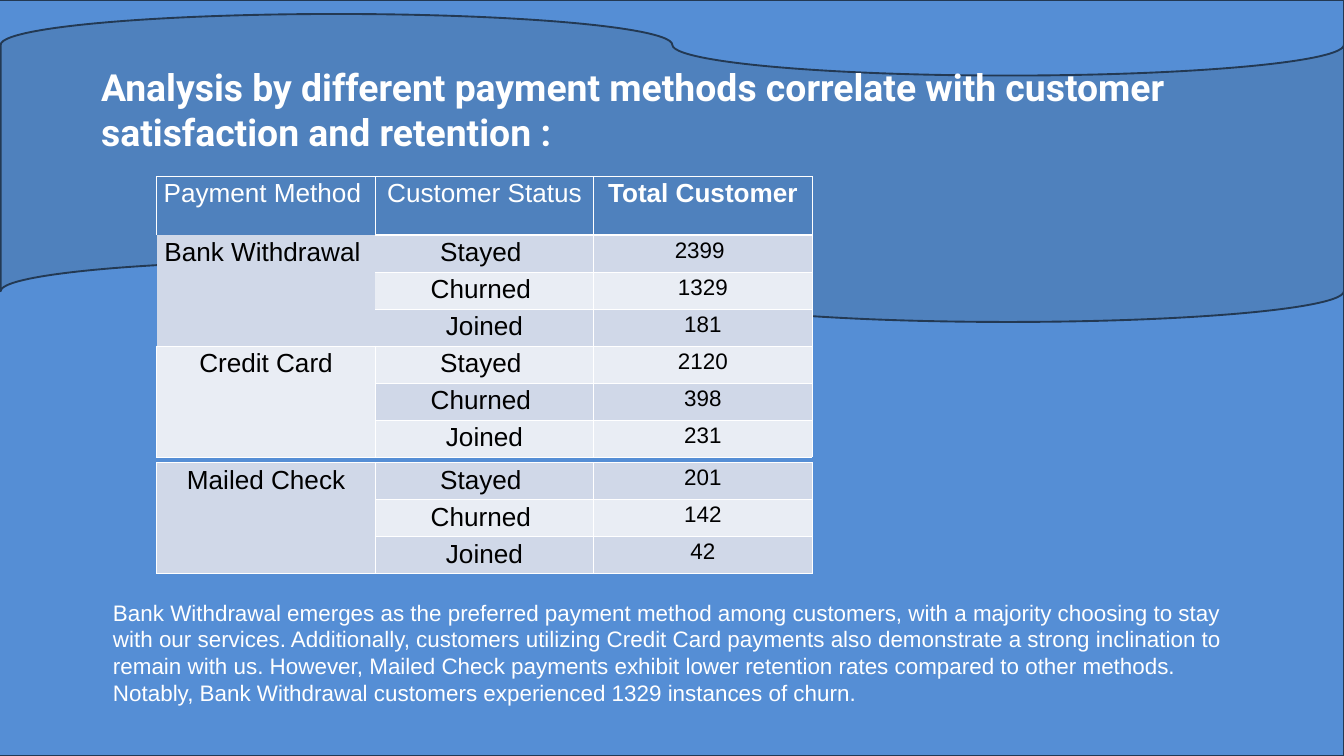
"""Build the slide on payment methods, customer satisfaction and retention."""
from lxml import etree
from pptx import Presentation
from pptx import util as u
from pptx.dml.color import RGBColor
from pptx.enum import shapes, text
from pptx.oxml.ns import qn

PX = 9525
COLORS = {
    "background": "558ED5",
    "accent": "4F81BD",
    "outline": "233953",
    "band_dark": "D0D8E8",
    "band_light": "E9EDF4",
    "white": "FFFFFF",
    "black": "000000",
}
TABLE_LEFT = 224
COLUMN_WIDTH = 312
HEADER_HEIGHT = 84
ROW_HEIGHT = 51
STATUSES = ["Stayed ", "Churned ", "Joined"]
HEADER = ["Payment Method ", "Customer Status", "Total Customer"]
MAIN_METHODS = {
    "Bank Withdrawal ": ["2399 ", "1329", "181"],
    "Credit Card": ["2120", "398", "231"],
}
CHECK_METHOD = {"Mailed Check": ["201", "142", "42"]}
TITLE = "Analysis by different payment methods correlate with customer satisfaction and retention :"
SUMMARY = (
    "Bank Withdrawal emerges as the preferred payment method among customers, with a majority "
    "choosing to stay with our services. Additionally, customers utilizing Credit Card payments "
    "also demonstrate a strong inclination to remain with us. However, Mailed Check payments "
    "exhibit lower retention rates compared to other methods. Notably, Bank Withdrawal customers "
    "experienced 1329 instances of churn."
)


def px(*lengths):
    return [u.Emu(length * PX) for length in lengths]


def color(name):
    return RGBColor.from_string(COLORS[name])


def write(frame, words, size=28, font="Arial", ink="white", bold=False, align=text.PP_ALIGN.LEFT):
    paragraph = frame.paragraphs[0]
    paragraph.alignment = align
    run = paragraph.add_run()
    run.text = words
    run.font.size = u.Pt(size)
    run.font.name = font
    run.font.bold = bold
    run.font.color.rgb = color(ink)


def add_panel(slide, kind, box, fill, flipped=False):
    shape = slide.shapes.add_shape(kind, *px(*box))
    shape.shadow.inherit = False
    shape.fill.solid()
    shape.fill.fore_color.rgb = color(fill)
    shape.line.color.rgb = color("outline")
    shape.line.width = u.Pt(2)
    if flipped:
        shape.element.spPr.get_or_add_xfrm().set("flipV", "1")


def add_text(slide, box, words, **format):
    frame = slide.shapes.add_textbox(*px(*box)).text_frame
    frame.word_wrap = True
    frame.vertical_anchor = text.MSO_ANCHOR.MIDDLE
    write(frame, words, **format)


def set_borders(cell, hidden="", thick=""):
    properties = cell._tc.get_or_add_tcPr()
    for side in "LRTB":
        width = u.Pt(3 if side in thick else 1)
        line = etree.SubElement(properties, qn(f"a:ln{side}"), w=str(int(width)))
        if side in hidden:
            etree.SubElement(line, qn("a:noFill"))
        else:
            fill = etree.SubElement(line, qn("a:solidFill"))
            etree.SubElement(fill, qn("a:srgbClr"), val=COLORS["white"])


def fill_cell(cell, words, fill, hidden="", thick="", **format):
    set_borders(cell, hidden, thick)
    cell.fill.solid()
    cell.fill.fore_color.rgb = color(fill)
    cell.margin_left, cell.margin_right, cell.margin_top, cell.margin_bottom = px(7, 7, 4, 4)
    if words:
        write(cell.text_frame, words, align=text.PP_ALIGN.CENTER, **format)


def add_header(table):
    table.rows[0].height = px(HEADER_HEIGHT)[0]
    for column, label in enumerate(HEADER):
        fill_cell(table.cell(0, column), label, "accent", bold=column == 2,
                  hidden="" if column else "B", thick="B" if column else "")


def add_method(table, first_row, method, totals, open_frame):
    """Fill one merged method cell with its status rows; open_frame drops the method's borders."""
    bands = ["band_dark", "band_light"]
    if first_row > 1:
        bands = bands[::-1]
    for index, (status, total) in enumerate(zip(STATUSES, totals)):
        row = first_row + index
        band = bands[index % 2]
        fill_cell(table.cell(row, 0), "" if index else method, bands[0], ink="black",
                  hidden="LRTB" if open_frame else "")
        thick = "T" if open_frame and index == 0 else ""
        fill_cell(table.cell(row, 1), status, band, ink="black", thick=thick,
                  hidden="L" if open_frame else "")
        fill_cell(table.cell(row, 2), total, band, ink="black", size=24, thick=thick)
    table.cell(first_row, 0).merge(table.cell(first_row + len(STATUSES) - 1, 0))


def add_payment_table(slide, top, methods, headed=False):
    row_count = len(methods) * len(STATUSES) + headed
    box = px(TABLE_LEFT, top, COLUMN_WIDTH * len(HEADER), ROW_HEIGHT * row_count)
    table = slide.shapes.add_table(row_count, len(HEADER), *box).table
    table.first_row = headed
    for row in table.rows:
        row.height = px(ROW_HEIGHT)[0]
    if headed:
        add_header(table)
    for index, (method, totals) in enumerate(methods.items()):
        add_method(table, headed + index * len(STATUSES), method, totals, headed and index == 0)


def main():
    presentation = Presentation()
    presentation.slide_width, presentation.slide_height = px(1920, 1080)
    slide = presentation.slides.add_slide(presentation.slide_layouts[6])
    add_panel(slide, shapes.MSO_SHAPE.RECTANGLE, (-32, 0, 1952, 1080), "background")
    add_panel(slide, shapes.MSO_SHAPE.FLOWCHART_PUNCHED_TAPE, (1, 20, 1919, 440), "accent",
              flipped=True)
    add_text(slide, (135, 92, 1688, 128), TITLE, size=40, font="Roboto", bold=True)
    add_payment_table(slide, 252, MAIN_METHODS, headed=True)
    add_payment_table(slide, 661, CHECK_METHOD)
    add_text(slide, (152, 844, 1640, 176), SUMMARY, size=24)
    presentation.save("out.pptx")


if __name__ == "__main__":
    main()
